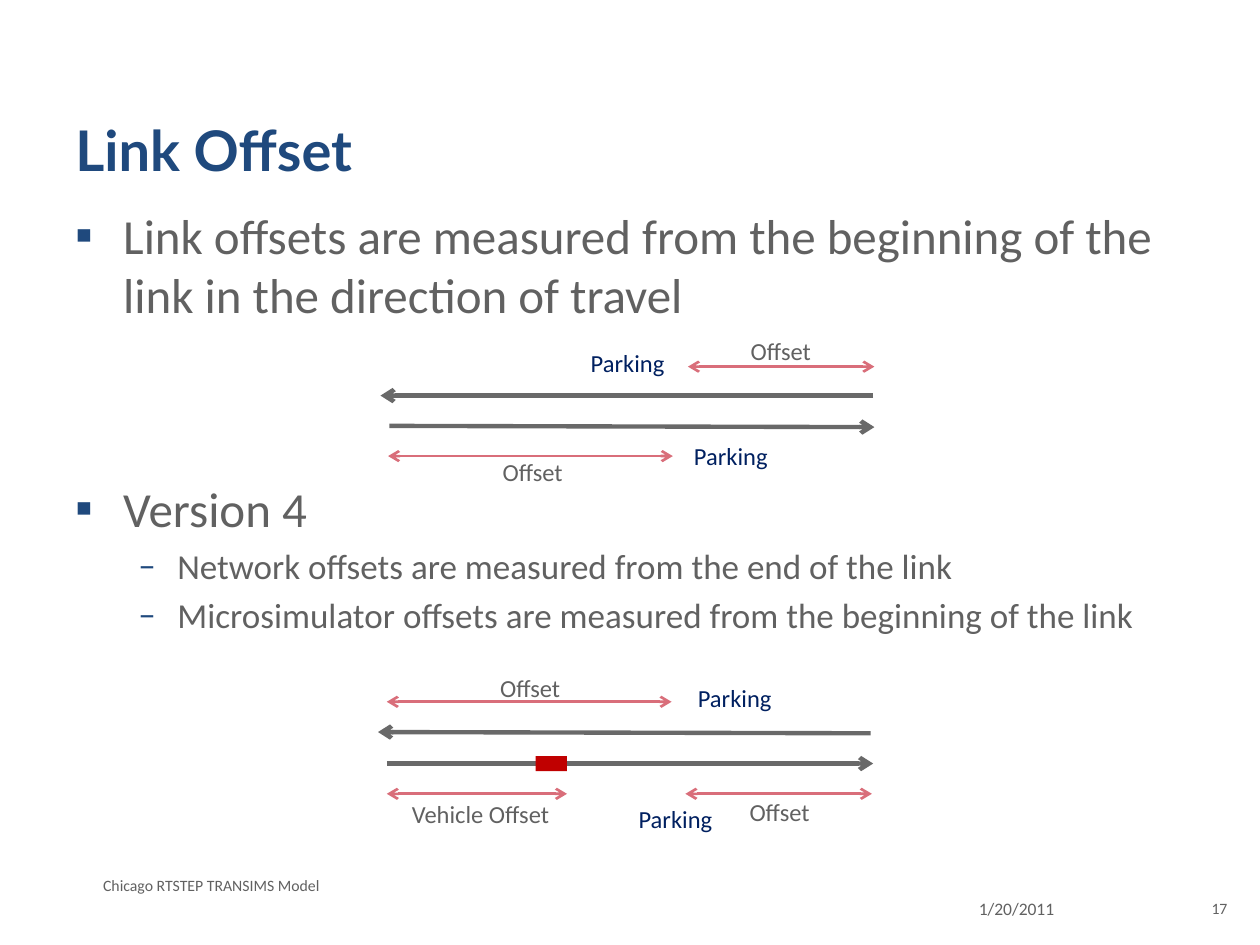
from lxml.etree import SubElement
from pptx import Presentation
from pptx.dml.color import RGBColor
from pptx.enum.shapes import MSO_CONNECTOR as Connector, MSO_SHAPE as Shape
from pptx.enum.text import PP_ALIGN as Align
from pptx.oxml.ns import qn
from pptx.util import Inches, Pt

BLUE = RGBColor(0x1F, 0x49, 0x7D)
NAVY = RGBColor(0x00, 0x20, 0x60)
TEXT_GRAY = RGBColor(0x61, 0x61, 0x61)
ROAD_GRAY = RGBColor(0x69, 0x69, 0x69)
PINK = RGBColor(0xD9, 0x6E, 0x7A)
RED = RGBColor(0xC0, 0x00, 0x00)

BULLETS = [
    ("Link offsets are measured from the beginning of the link in the direction of travel", 0, 0),
    ("Version 4", 0, 89),
    ("Network offsets are measured from the end of the link", 1, 4),
    ("Microsimulator offsets are measured from the beginning of the link", 1, 4),
]
BULLET_STYLES = [("▪", 0.38, 0.38, 28), ("–", 0.81, 0.31, 20)]

ROADS = [
    (6.93, 3.14, 3.02, 3.14),
    (3.09, 3.38, 6.94, 3.39),
    (6.91, 5.82, 3.00, 5.81),
    (3.07, 6.06, 6.93, 6.06),
]
OFFSET_SPANS = [
    (5.46, 6.94, 2.91),
    (3.08, 5.34, 3.62),
    (3.07, 5.33, 5.57),
    (5.44, 6.92, 6.30),
    (3.07, 4.50, 6.30),
]
OFFSET_LABELS = [
    ("Offset", 5.86, 2.62, 0.75),
    ("Offset", 3.89, 3.58, 0.75),
    ("Offset", 3.87, 5.29, 0.75),
    ("Offset", 5.85, 6.28, 0.75),
    ("Vehicle Offset", 3.17, 6.29, 1.42),
]
PARKING_LABELS = [(4.59, 2.71), (5.41, 3.45), (5.44, 5.37), (4.97, 6.33)]


def format_paragraph(paragraph, size, color, font="Calibri", bold=False):
    """Apply one font style to every run of a paragraph."""
    for run in paragraph.runs:
        run.font.name = font
        run.font.size = Pt(size)
        run.font.bold = bold
        run.font.color.rgb = color


def add_box(slide, left, top, width, height):
    """Add a wrapping text box and return its text frame."""
    box = slide.shapes.add_textbox(Inches(left), Inches(top), Inches(width), Inches(height))
    box.text_frame.word_wrap = True
    return box.text_frame


def add_text(slide, text, left, top, width, height, size, color=TEXT_GRAY, align=Align.LEFT, **style):
    """Add a single-paragraph text box."""
    frame = add_box(slide, left, top, width, height)
    frame.text = text
    paragraph = frame.paragraphs[0]
    paragraph.alignment = align
    format_paragraph(paragraph, size, color, **style)


def add_bullet(paragraph, character, margin, hanging):
    """Give a paragraph a coloured bullet and a hanging indent."""
    properties = paragraph._p.get_or_add_pPr()
    properties.set("marL", str(Inches(margin)))
    properties.set("indent", str(-Inches(hanging)))
    color = SubElement(properties, qn("a:buClr"))
    SubElement(color, qn("a:srgbClr")).set("val", str(BLUE))
    SubElement(properties, qn("a:buFont")).set("typeface", "Calibri")
    SubElement(properties, qn("a:buChar")).set("char", character)


def add_bullet_list(slide):
    """Add the two-level list, leaving room for the upper diagram."""
    frame = add_box(slide, 0.5, 1.58, 9, 5.12)
    for index, (text, level, space) in enumerate(BULLETS):
        paragraph = frame.add_paragraph() if index else frame.paragraphs[0]
        paragraph.text = text
        paragraph.level = level
        character, margin, hanging, size = BULLET_STYLES[level]
        add_bullet(paragraph, character, margin, hanging)
        if space:
            paragraph.space_before = Pt(space)
        format_paragraph(paragraph, size, TEXT_GRAY)


def add_arrow(slide, start_x, start_y, end_x, end_y, color, width, ends):
    """Add a straight line with arrowheads at the named ends."""
    points = (Inches(value) for value in (start_x, start_y, end_x, end_y))
    connector = slide.shapes.add_connector(Connector.STRAIGHT, *points)
    connector.line.color.rgb = color
    connector.line.width = Pt(width)
    line = connector.line._get_or_add_ln()
    for end in ends:
        SubElement(line, qn(f"a:{end}")).set("type", "arrow")
    SubElement(connector._element.spPr, qn("a:effectLst"))


def add_vehicle(slide):
    """Add the red vehicle on the lower road."""
    shape = slide.shapes.add_shape(
        Shape.RECTANGLE, Inches(4.25), Inches(6), Inches(0.25), Inches(0.12))
    shape.shadow.inherit = False
    shape.fill.solid()
    shape.fill.fore_color.rgb = RED
    shape.line.fill.background()


def add_diagrams(slide):
    """Add both link diagrams with their offsets and labels."""
    for road in ROADS:
        add_arrow(slide, *road, ROAD_GRAY, 2.5, ["tailEnd"])
    for left, right, y in OFFSET_SPANS:
        add_arrow(slide, left, y, right, y, PINK, 1.5, ["headEnd", "tailEnd"])
    for text, left, top, width in OFFSET_LABELS:
        add_text(slide, text, left, top, width, 0.33, 14)
    for left, top in PARKING_LABELS:
        add_text(slide, "Parking", left, top, 0.86, 0.33, 14, NAVY)
    add_vehicle(slide)


def main():
    """Build the slide and save it."""
    presentation = Presentation()
    presentation.slide_width = Inches(10)
    presentation.slide_height = Inches(7.5)
    slide = presentation.slides.add_slide(presentation.slide_layouts[6])
    add_text(slide, "Link Offset", 0.5, 0.87, 9, 0.64, 32, BLUE, font="Lato", bold=True)
    add_bullet_list(slide)
    add_text(slide, "1/20/2011", 7.67, 7.08, 1.5, 0.33, 10)
    add_text(slide, "Chicago RTSTEP TRANSIMS Model", 0.72, 6.9, 6.5, 0.25, 9)
    add_text(slide, "17", 9.42, 7.08, 0.42, 0.32, 9, align=Align.RIGHT)
    add_diagrams(slide)
    presentation.save("out.pptx")


if __name__ == "__main__":
    main()
